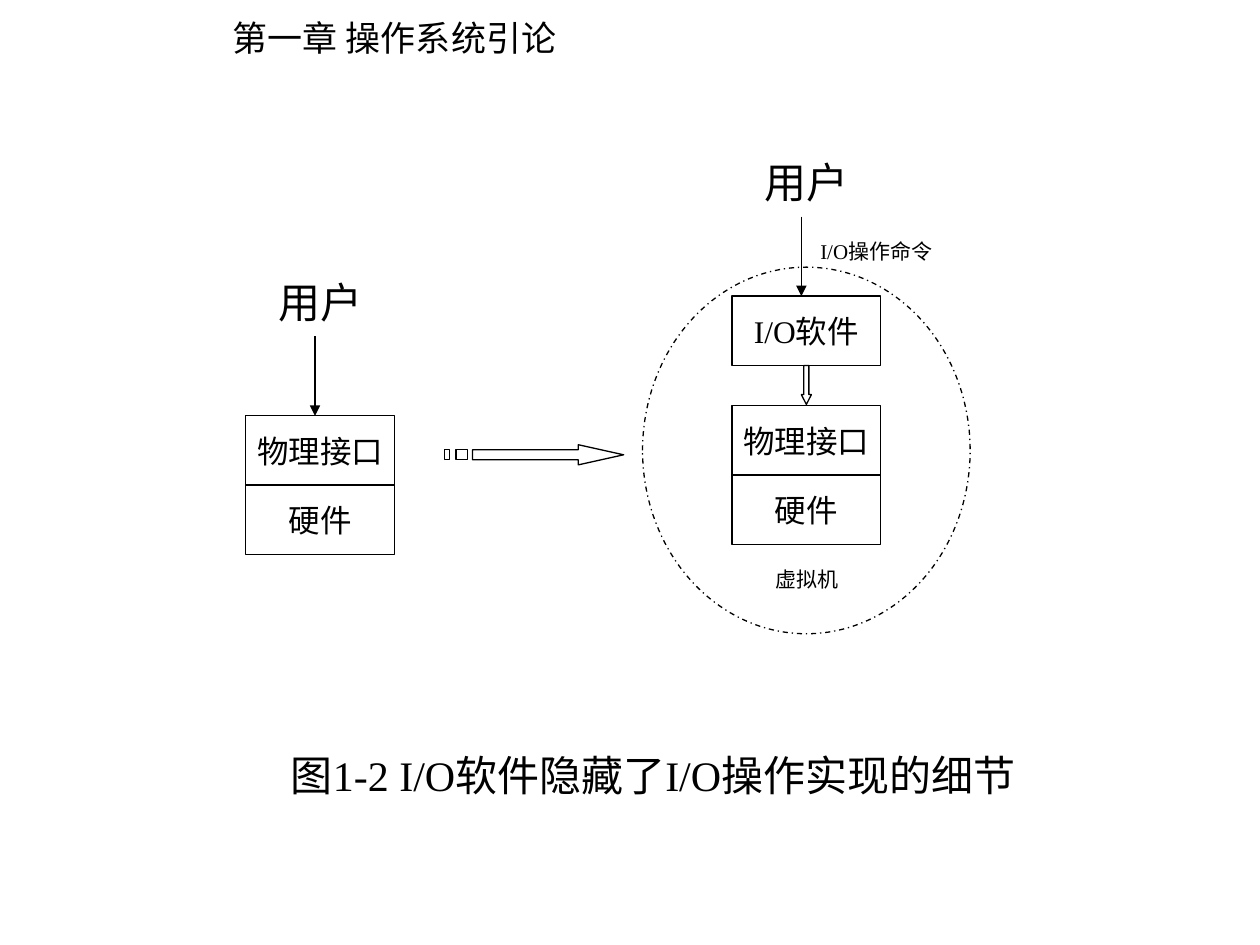
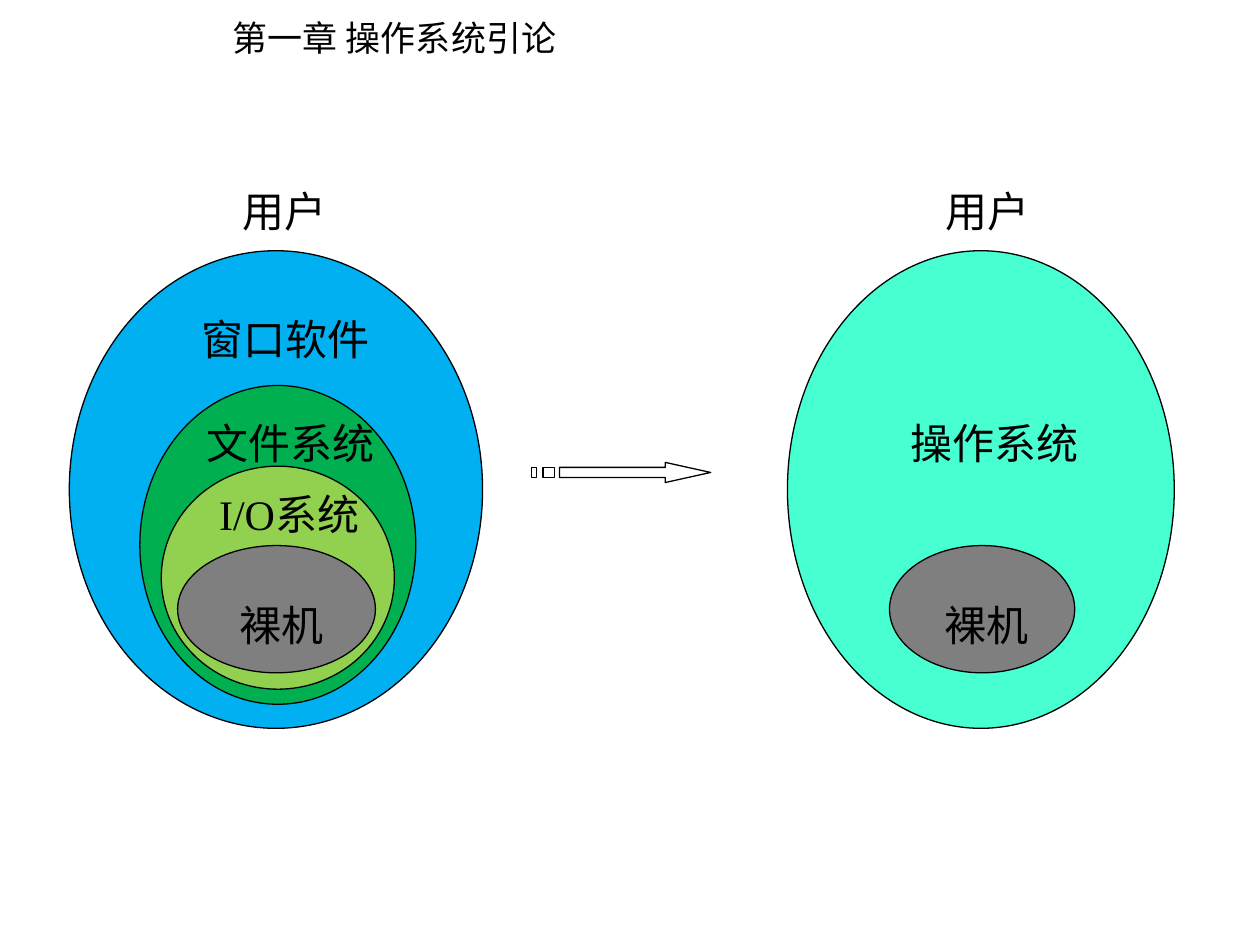
"""Build two slides on how layered software hides the bare machine."""
import lxml.etree
import pptx
import pptx.dml.color
import pptx.enum.dml
import pptx.enum.shapes
import pptx.enum.text
import pptx.oxml.ns
import pptx.util
from pptx.util import Inches

BLACK = pptx.dml.color.RGBColor(0x00, 0x00, 0x00)
BLUE = pptx.dml.color.RGBColor(0x00, 0xB0, 0xF0)
GREEN = pptx.dml.color.RGBColor(0x00, 0xB0, 0x50)
LIME = pptx.dml.color.RGBColor(0x92, 0xD0, 0x50)
GRAY = pptx.dml.color.RGBColor(0x7F, 0x7F, 0x7F)
AQUA = pptx.dml.color.RGBColor(0x47, 0xFF, 0xD1)
SERIF = "Times New Roman"
SANS = "Noto Sans CJK SC"
SHAPES = pptx.enum.shapes.MSO_SHAPE
ALIGN = pptx.enum.text.PP_ALIGN
ANCHOR = pptx.enum.text.MSO_ANCHOR
LINE_WIDTH = pptx.util.Pt(0.75)
qn = pptx.oxml.ns.qn


def write(box, text, size, font=SERIF, centered=True):
    frame = box.text_frame
    frame.text = text
    frame.word_wrap = False
    if centered:
        frame.vertical_anchor = ANCHOR.MIDDLE
    else:
        frame.vertical_anchor = ANCHOR.TOP
        frame.auto_size = pptx.enum.text.MSO_AUTO_SIZE.SHAPE_TO_FIT_TEXT
    para = frame.paragraphs[0]
    para.alignment = ALIGN.CENTER if centered else ALIGN.LEFT
    span = para.runs[0]
    span.font.size = pptx.util.Pt(size)
    span.font.name = font
    span.font.color.rgb = BLACK
    east_asian = lxml.etree.SubElement(span.font._element, qn("a:ea"))
    east_asian.set("typeface", SANS)


def outline(shape, fill=None):
    shape.shadow.inherit = False
    if fill is None:
        shape.fill.background()
    else:
        shape.fill.solid()
        shape.fill.fore_color.rgb = fill
    shape.line.color.rgb = BLACK
    shape.line.width = LINE_WIDTH
    return shape


deck = pptx.Presentation()
deck.slide_width = Inches(10)
deck.slide_height = Inches(7.5)

arrow_contours = [
    [(1.06, 0), (1.06, 0.04), (0.22, 0.04), (0.22, 0.12), (1.06, 0.12), (1.06, 0.16), (1.42, 0.08)],
    [(0.09, 0.04), (0.09, 0.12), (0.18, 0.12), (0.18, 0.04)],
    [(0, 0.04), (0, 0.12), (0.04, 0.12), (0.04, 0.04)],
]
for arrow_left, arrow_top in [(3.53, 3.53), (4.22, 3.67)]:
    slide = deck.slides.add_slide(deck.slide_layouts[6])
    title = slide.shapes.add_textbox(Inches(1.75), Inches(0.08), Inches(2.83), Inches(0.44))
    write(title, "第一章 操作系统引论", 20, SANS, centered=False)
    builder = None
    for contour in arrow_contours:
        points = [(Inches(arrow_left + x), Inches(arrow_top + y)) for x, y in contour]
        if builder is None:
            builder = slide.shapes.build_freeform(*points[0])
        else:
            builder.move_to(*points[0])
        builder.add_line_segments(points[1:], close=True)
    outline(builder.convert_to_shape())

io_slide, layer_slide = deck.slides

box_width, box_height = 1.18, 0.55
stacks = [
    (1.95, 2.12, [("物理接口", 3.3), ("硬件", 3.85)]),
    (5.81, 1.17, [("I/O软件", 2.35), ("物理接口", 3.22), ("硬件", 3.77)]),
]
for left, user_top, boxes in stacks:
    for text, top in boxes:
        box = io_slide.shapes.add_shape(
            SHAPES.RECTANGLE, Inches(left), Inches(top), Inches(box_width), Inches(box_height))
        write(outline(box), text, 18)
    arrow_x = Inches(left + 0.55)
    arrow = io_slide.shapes.add_connector(
        pptx.enum.shapes.MSO_CONNECTOR.STRAIGHT,
        arrow_x, Inches(user_top + box_height), arrow_x, Inches(boxes[0][1]))
    arrow.line.color.rgb = BLACK
    arrow.line.width = LINE_WIDTH
    lxml.etree.SubElement(arrow.line._get_or_add_ln(), qn("a:tailEnd")).set("type", "triangle")
    lxml.etree.SubElement(arrow._element.spPr, qn("a:effectLst"))

call_arrow = outline(io_slide.shapes.add_shape(
    SHAPES.DOWN_ARROW, Inches(6.36), Inches(2.9), Inches(0.08), Inches(0.31)))
call_arrow.adjustments[0] = 0.5
call_arrow.adjustments[1] = 0.98
virtual_machine = outline(io_slide.shapes.add_shape(
    SHAPES.OVAL, Inches(5.1), Inches(2.12), Inches(2.6), Inches(2.91)))
virtual_machine.line.dash_style = pptx.enum.dml.MSO_LINE.DASH_DOT

caption = io_slide.shapes.add_textbox(Inches(2.21), Inches(5.9), Inches(6.27), Inches(0.5))
write(caption, "图1-2 I/O软件隐藏了I/O操作实现的细节", 24, centered=False)

layers = [
    (0.55, 1.99, 3.28, 3.79, BLUE),
    (1.11, 3.06, 2.19, 2.53, GREEN),
    (1.28, 3.7, 1.85, 1.77, LIME),
    (1.41, 4.33, 1.57, 1.01, GRAY),
    (6.25, 1.99, 3.07, 3.79, AQUA),
    (7.06, 4.33, 1.47, 1.01, GRAY),
]
for left, top, width, height, color in layers:
    outline(layer_slide.shapes.add_shape(
        SHAPES.OVAL, Inches(left), Inches(top), Inches(width), Inches(height)), color)

io_labels = [
    ("用户", 24, 1.95, 2.12, box_width),
    ("用户", 24, 5.81, 1.17, box_width),
    ("I/O操作命令", 12, 6.44, 1.72, 1.03),
    ("虚拟机", 12, 5.89, 4.32, 1.03),
]
layer_labels = [
    ("裸机", 24, 1.9, 4.77, 0.67),
    ("I/O系统", 24, 1.96, 3.89, 0.67),
    ("文件系统", 24, 1.81, 3.32, 1),
    ("窗口软件", 24, 1.72, 2.5, 1.09),
    ("用户", 24, 1.92, 1.48, 0.67),
    ("裸机", 24, 7.52, 4.77, 0.62),
    ("操作系统", 24, 7.43, 3.32, 0.93),
    ("用户", 24, 7.53, 1.48, 0.62),
]
for slide, labels, height in [(io_slide, io_labels, box_height), (layer_slide, layer_labels, 0.38)]:
    for text, size, left, top, width in labels:
        label = slide.shapes.add_shape(
            SHAPES.RECTANGLE, Inches(left), Inches(top), Inches(width), Inches(height))
        label.shadow.inherit = False
        label.fill.background()
        label.line.fill.background()
        write(label, text, size)

deck.save("out.pptx")
